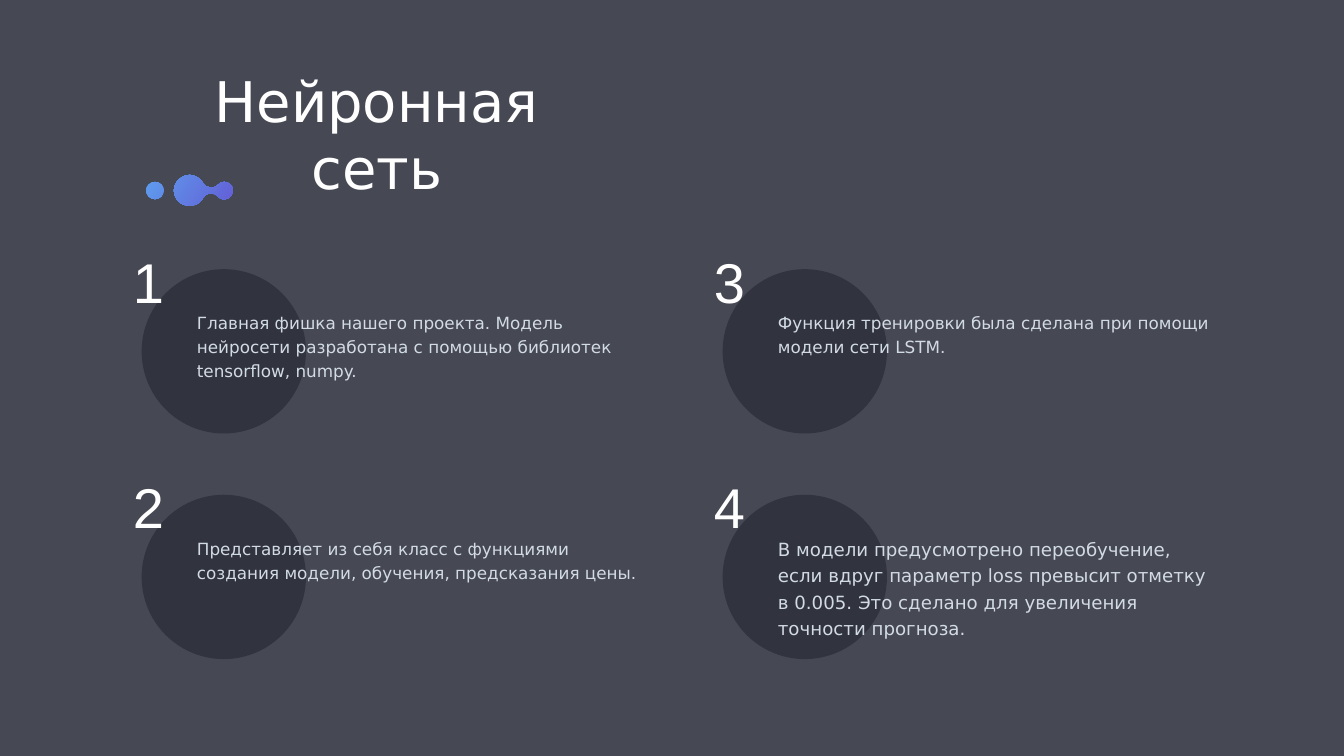
from lxml import etree
from pptx import Presentation
from pptx.dml.color import RGBColor
from pptx.enum import shapes, text
from pptx.oxml.ns import qn
from pptx.util import Pt

BACKGROUND = RGBColor(0x46, 0x48, 0x53)
CIRCLE = RGBColor(0x31, 0x33, 0x3F)
WHITE = RGBColor(0xFF, 0xFF, 0xFF)
BODY = RGBColor(0xD2, 0xDB, 0xE4)
BLUE = RGBColor(0x5E, 0x9E, 0xEE)
VIOLET = RGBColor(0x63, 0x5E, 0xD6)

# Grid of numbered points, filled column by column
LEFT, TOP = 202.3, 384.5
COLUMN_STEP, ROW_STEP = 830, 322.3
DIAMETER = 234.8
ROWS = 2

# Body text, its size and the height of its box
POINTS = [
    ("Главная фишка нашего проекта. Модель нейросети разработана с помощью "
     "библиотек tensorflow, numpy.", 24, 108.8),
    ("Представляет из себя класс с функциями создания модели, обучения, "
     "предсказания цены.", 24, 74),
    ("Функция тренировки была сделана при помощи модели сети LSTM.", 24, 74),
    ("В модели предусмотрено переобучение, если вдруг параметр loss превысит "
     "отметку в 0.005. Это сделано для увеличения точности прогноза.", 26, 155.6),
]

# Ornament outlines: a start point, then Bezier curves (two controls and an end)
ORNAMENT_BOX = (208.9, 249.8, 124, 44.3)
DROPS = [
    (271.4, 249.8),
    ((259.2, 249.8), (248.4, 259.9), (248.4, 272.2)),
    ((248.4, 284.4), (258.5, 293.8), (270, 294.1)),
    ((278.6, 294.1), (286.6, 290.2), (290.2, 283)),
    ((292.3, 279.4), (295.2, 277.2), (298.1, 276.5)),
    ((303.1, 275.8), (308.2, 277.2), (311, 280.1)),
    ((318.2, 289.4), (332.6, 283.7), (332.6, 272.2)),
    ((333.4, 260.6), (318.2, 255.6), (311, 264.2)),
    ((308.2, 267.1), (304.6, 268.6), (301, 267.8)),
    ((296.6, 267.8), (292.3, 265.7), (290.2, 261.4)),
    ((286.6, 254.9), (279.4, 250.6), (271.4, 249.8)),
]
DOT = [
    (221.4, 259.9),
    ((218.2, 259.9), (215.3, 260.6), (212.4, 263.5)),
    ((207.4, 267.8), (207.4, 275.8), (212.4, 280.8)),
    ((217.4, 285.8), (225.4, 285.8), (230.4, 280.8)),
    ((234.7, 275.8), (234.7, 267.8), (230.4, 263.5)),
    ((227.5, 260.6), (224.6, 259.9), (221.4, 259.9)),
]


def add_text(slide, content, left, top, width, height, *, size, color,
             font="DejaVu Sans", align=None, anchor=text.MSO_ANCHOR.MIDDLE,
             line_spacing=None, space_before=None):
    box = slide.shapes.add_textbox(Pt(left), Pt(top), Pt(width), Pt(height))
    frame = box.text_frame
    frame.word_wrap = True
    frame.auto_size = text.MSO_AUTO_SIZE.SHAPE_TO_FIT_TEXT
    frame.vertical_anchor = anchor
    frame.margin_left = frame.margin_right = Pt(4.3)
    frame.margin_top = frame.margin_bottom = Pt(4.3)
    paragraph = frame.paragraphs[0]
    paragraph.alignment = align
    if line_spacing:
        paragraph.line_spacing = line_spacing
    if space_before:
        paragraph.space_before = Pt(space_before)
    run = paragraph.add_run()
    run.text = content
    run.font.name = font
    run.font.size = Pt(size)
    run.font.color.rgb = color


def add_circle(slide, left, top, diameter, color):
    shape = slide.shapes.add_shape(
        shapes.MSO_SHAPE.OVAL, Pt(left), Pt(top), Pt(diameter), Pt(diameter))
    shape.shadow.inherit = False
    shape.fill.solid()
    shape.fill.fore_color.rgb = color
    shape.line.fill.background()


def add_curved_shape(slide, box, outlines):
    left, top, width, height = box
    builder = slide.shapes.build_freeform(Pt(left), Pt(top))
    builder.add_line_segments([(Pt(left + width), Pt(top)),
                               (Pt(left + width), Pt(top + height))])
    shape = builder.convert_to_shape()

    # Put Bezier curves in the place of the straight segments
    path = next(shape.element.iter(qn("a:path")))
    for child in list(path):
        path.remove(child)

    def add_command(tag, points):
        command = etree.SubElement(path, qn(tag))
        for x, y in points:
            etree.SubElement(command, qn("a:pt"),
                             x=str(Pt(x - left)), y=str(Pt(y - top)))

    for start, *curves in outlines:
        add_command("a:moveTo", [start])
        for curve in curves:
            add_command("a:cubicBezTo", curve)
        add_command("a:close", [])
    return shape


def add_ornament(slide):
    shape = add_curved_shape(slide, ORNAMENT_BOX, (DROPS, DOT))
    shape.shadow.inherit = False
    shape.line.fill.background()
    shape.fill.gradient()
    shape.fill.gradient_angle = 360 - 34
    for stop, color in zip(shape.fill.gradient_stops, (BLUE, VIOLET)):
        stop.color.rgb = color


def add_point(slide, index, content, size, height):
    column, row = divmod(index, ROWS)
    left, top = LEFT + column * COLUMN_STEP, TOP + row * ROW_STEP
    add_circle(slide, left, top, DIAMETER, CIRCLE)
    add_text(slide, str(index + 1), left - 16.8, top - 36, 170.6, 105.2,
             size=80, color=WHITE, font="Arial")
    add_text(slide, content, left + 74.7, top + 52, 640, height, size=size,
             color=BODY, anchor=text.MSO_ANCHOR.TOP, line_spacing=1.2, space_before=20)


def main():
    presentation = Presentation()
    presentation.slide_width, presentation.slide_height = Pt(1920), Pt(1080)
    slide = presentation.slides.add_slide(presentation.slide_layouts[6])
    slide.background.fill.solid()
    slide.background.fill.fore_color.rgb = BACKGROUND

    # Title and its ornament
    add_text(slide, "Нейронная сеть", 202.3, 138.7, 671.8, 105.2, size=80,
             color=WHITE, align=text.PP_ALIGN.CENTER)
    add_ornament(slide)

    # Numbered points
    for index, point in enumerate(POINTS):
        add_point(slide, index, *point)

    presentation.save("out.pptx")


if __name__ == "__main__":
    main()
